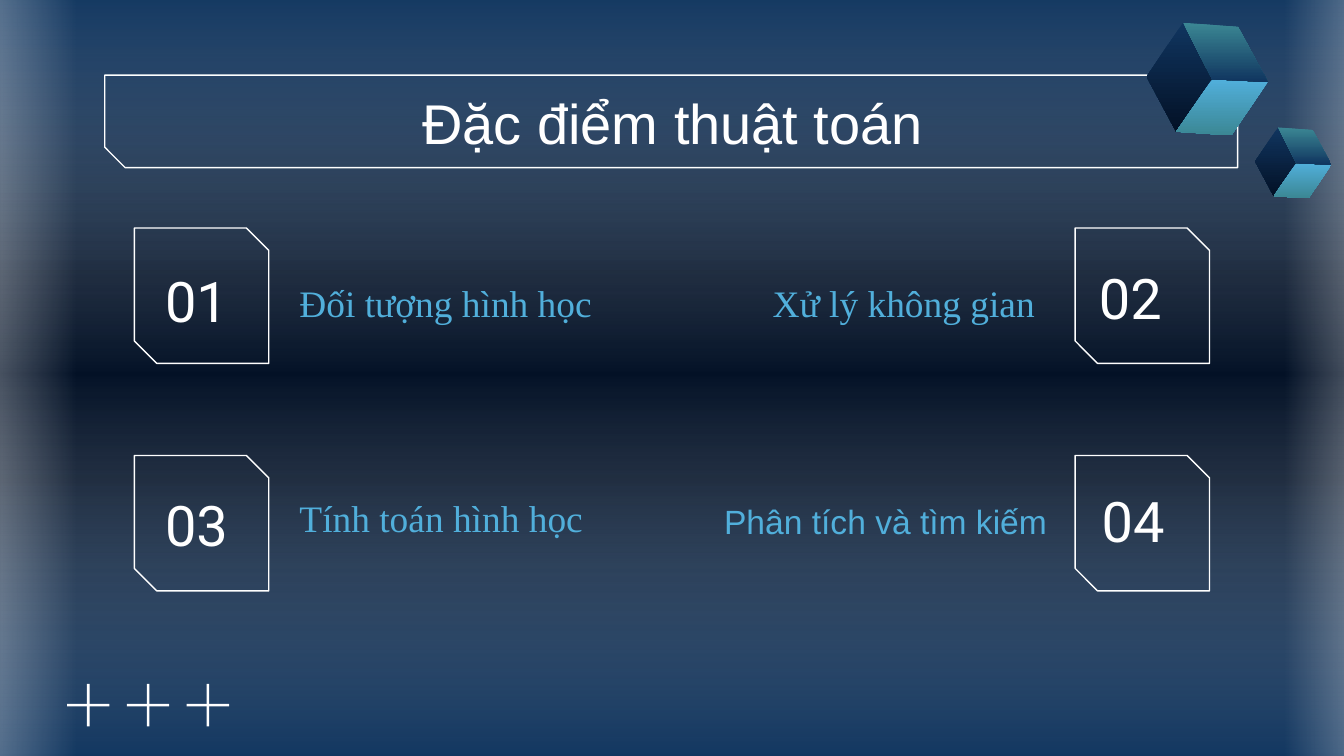
from lxml.etree import SubElement as Sub
from pptx import Presentation
from pptx.dml.color import RGBColor as RGB
from pptx.enum.shapes import MSO_SHAPE as Kind
from pptx.enum.text import MSO_ANCHOR as Anchor, MSO_AUTO_SIZE as Auto, PP_ALIGN as Align
from pptx.oxml.ns import qn
from pptx.util import Cm, Pt

HUES = {"white": "FFFFFF", "navy": "10355F", "night": "031126",
        "sky": "51AFDB", "teal": "3B8794"}


def blend(fill, root, turn, stops):
    """Linear gradient; stops are (percent, hue, opacity percent)."""
    fill.gradient()
    fill.gradient_angle = turn
    rows = root.find(".//" + qn("a:gsLst"))
    for old in list(rows):
        rows.remove(old)
    for at, hue, alpha in stops:
        stop = Sub(rows, qn("a:gs"), pos=str(at * 1000))
        tint = Sub(stop, qn("a:srgbClr"), val=HUES[hue])
        if alpha < 100:
            Sub(tint, qn("a:alpha"), val=str(alpha * 1000))


def write(shape, text, font, size, hue, align, inset):
    """Place one formatted run in a shape; inset is (side, top and bottom)."""
    frame = shape.text_frame
    frame.word_wrap = True
    frame.auto_size = Auto.NONE
    frame.margin_left = frame.margin_right = Cm(inset[0])
    frame.margin_top = frame.margin_bottom = Cm(inset[1])
    para = frame.paragraphs[0]
    para.alignment = align
    para.space_before = Pt(0)
    run = para.add_run()
    run.text = text
    run.font.name = font
    run.font.size = Pt(size)
    run.font.bold = False
    run.font.color.rgb = RGB.from_string(HUES[hue])
    return frame


deck = Presentation()
deck.slide_width, deck.slide_height = Cm(25.4), Cm(14.29)
slide = deck.slides.add_slide(deck.slide_layouts[4])
shapes = slide.shapes
tree = shapes.element

# Background
blend(slide.background.fill, slide.element, 270,
      [(0, "navy", 100), (37, "night", 100), (63, "night", 100), (100, "navy", 100)])

# Soft veil and the glow at both sides
glow = [(0, "white", 47), (100, "white", 0)]
veil = [(0, "navy", 59), (50, "white", 0), (100, "navy", 59)]
for x, y, wide, high, turn, stops in [
        (0, -0.33, 25.93, 14.76, 270, veil),
        (-1.04, -0.23, 2.49, 14.73, 0, glow),
        (24.28, -0.33, 2.16, 14.73, 180, glow)]:
    pane = shapes.add_shape(Kind.RECTANGLE, Cm(x), Cm(y), Cm(wide), Cm(high))
    pane.shadow.inherit = False
    pane.line.fill.background()
    blend(pane.fill, pane.element, turn, stops)

# Outlined frames: four squares and the title bar
frames = [(x, y, 2.54, 2.56, 0.167) for x in (2.54, 20.32) for y in (4.31, 8.61)]
frames.append((1.98, 1.42, 21.41, 1.75, 0.221))
for x, y, wide, high, snip in frames:
    box = shapes.add_shape(Kind.SNIP_2_DIAG_RECTANGLE, Cm(x), Cm(y), Cm(wide), Cm(high))
    box.shadow.inherit = False
    box.adjustments[0], box.adjustments[1] = 0, snip
    box.fill.background()
    box.line.color.rgb = RGB.from_string(HUES["white"])
    box.line.width = Pt(0.75)

# Title
title = shapes.title
title.left, title.top, title.width, title.height = Cm(2.01), Cm(1.5), Cm(21.41), Cm(1.6)
write(title, "Đặc điểm thuật toán", "Arial", 30, "white", Align.CENTER,
      (0.25, 0.25)).vertical_anchor = Anchor.MIDDLE
tree.append(title.element)

# Four items, raised above the veil
items = [
    ("Đối tượng hình học", 5.66, 5.13, 6.43, Align.LEFT, "Times New Roman", 20),
    ("Xử lý không gian", 13.11, 5.13, 6.45, Align.RIGHT, "Times New Roman", 20),
    ("Tính toán hình học", 5.66, 9.19, 6.43, Align.LEFT, "Times New Roman", 20),
    ("Phân tích và tìm kiếm", 12.93, 9.22, 6.86, Align.RIGHT, "Arial", 18),
]
slots = [slot for slot in slide.placeholders if slot.placeholder_format.idx > 0]
for slot, (text, x, y, wide, align, font, size) in zip(slots, items):
    slot.left, slot.top, slot.width, slot.height = Cm(x), Cm(y), Cm(wide), Cm(1.27)
    body = write(slot, text, font, size, "sky", align, (0, 0.25))
    body.vertical_anchor = Anchor.BOTTOM
    props = body.paragraphs[0]._p.get_or_add_pPr()
    props.set("marL", "0")
    props.set("indent", "0")
    Sub(props, qn("a:buNone"))
    tree.append(slot.element)

# Three plus signs
for step in range(3):
    plus = shapes.add_group_shape()
    for wide, high in [(0.8, 0.05), (0.05, 0.8)]:
        bar = plus.shapes.add_shape(
            Kind.RECTANGLE, Cm(1.67 + 1.13 * step - wide / 2), Cm(13.33 - high / 2),
            Cm(wide), Cm(high))
        bar.shadow.inherit = False
        bar.fill.solid()
        bar.fill.fore_color.rgb = RGB.from_string(HUES["white"])
        bar.line.fill.background()

# Two cubes, each with three shaded faces
top, left, base, core = (0.69, 0), (0, 1.02), (0.56, 2.06), (1.24, 1.07)
right, foot, peak = (2.29, 1.12), (1.6, 2.13), (1.73, 0.08)
faces = [
    ([top, left, base, core], "navy", "night"),
    ([core, right, foot, base], "sky", "teal"),
    ([top, peak, right, core], "teal", "navy"),
]
for x, y, scale in [(21.67, 0.43, 1), (23.72, 2.41, 0.63)]:
    cube = shapes.add_group_shape()
    for spots, first, last in faces:
        path_pts = [(Cm(x + dx * scale), Cm(y + dy * scale)) for dx, dy in spots]
        pen = cube.shapes.build_freeform(*path_pts[0])
        pen.add_line_segments(path_pts[1:], close=True)
        face = pen.convert_to_shape()
        face.shadow.inherit = False
        face.line.fill.background()
        blend(face.fill, face.element, 270, [(0, first, 100), (100, last, 100)])

# Numbers
for text, x, y, wide in [("01", 2.87, 4.9, 1.88), ("02", 20.52, 4.85, 2.31),
                         ("03", 2.87, 9.14, 2.26), ("04", 20.57, 9.07, 2.34)]:
    mark = shapes.add_textbox(Cm(x), Cm(y), Cm(wide), Cm(1.55))
    write(mark, text, "Roboto", 30, "white", Align.LEFT, (0.25, 0.13))

deck.save("out.pptx")
